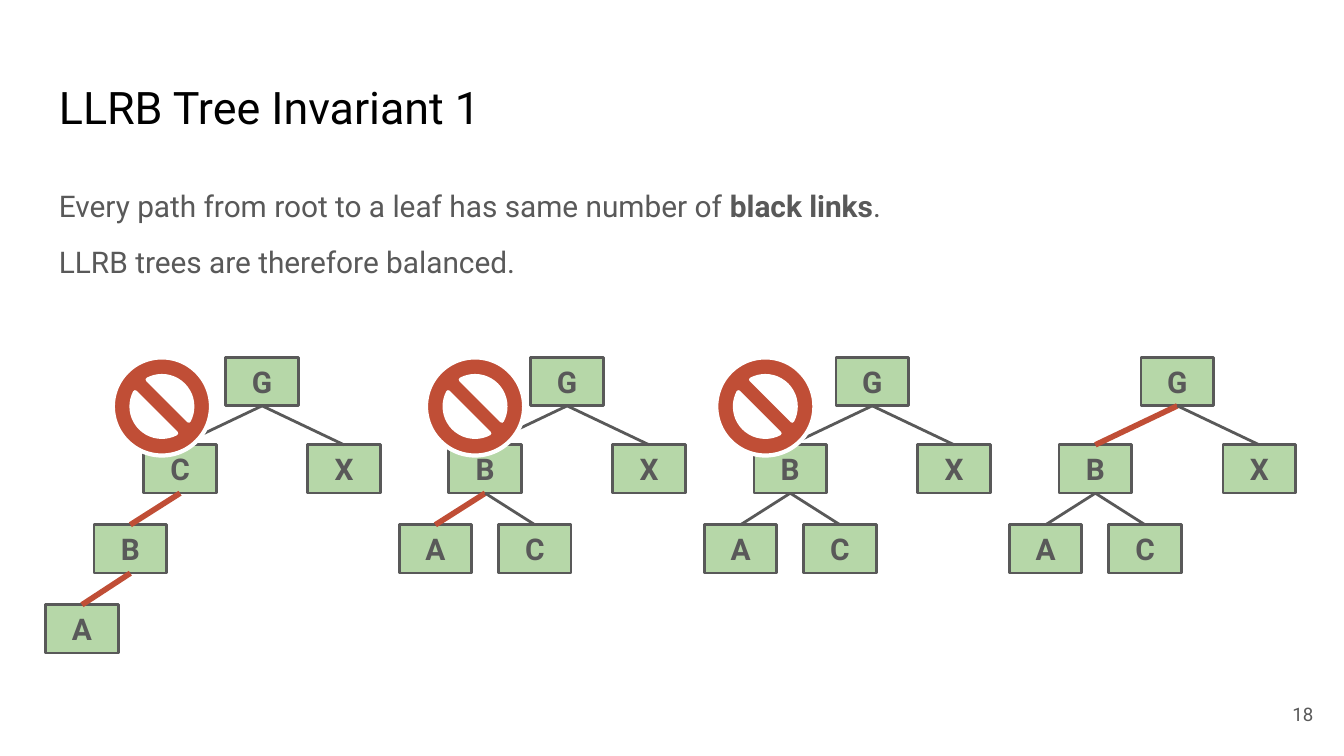
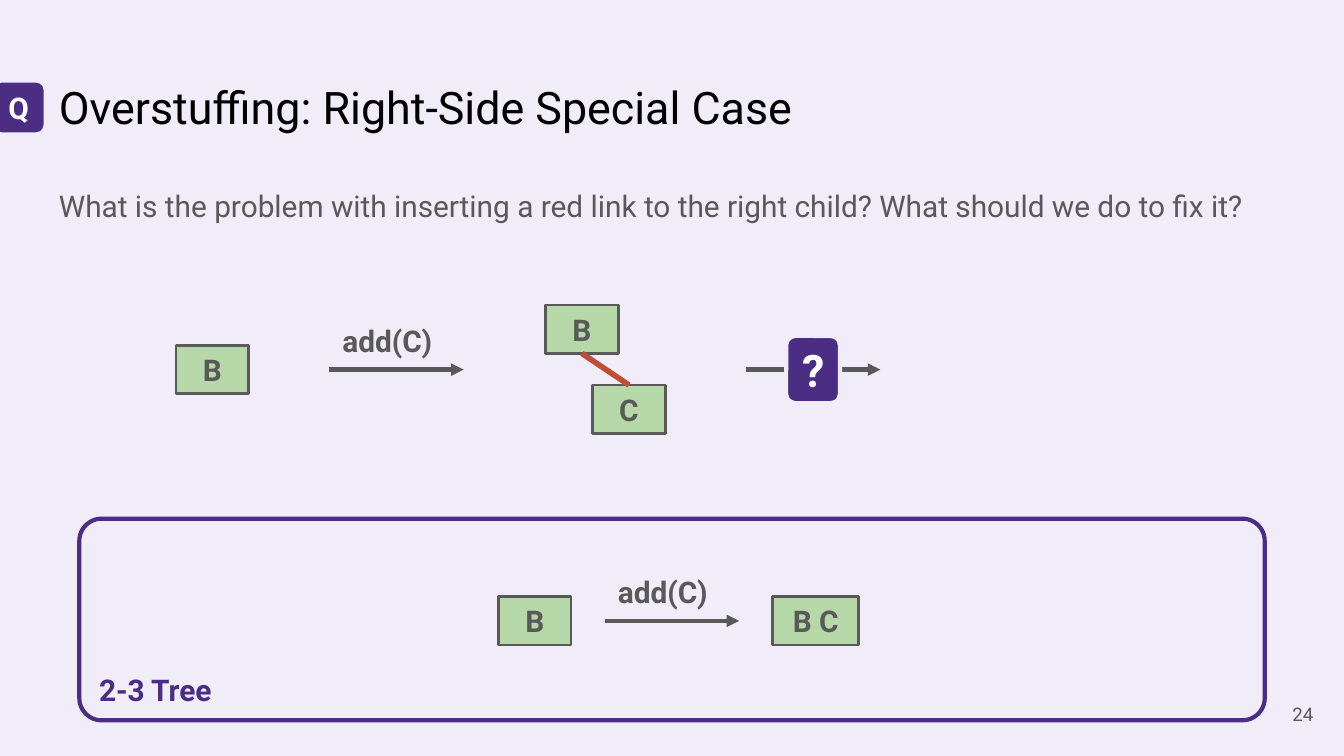
from dataclasses import dataclass

from lxml import etree
from pptx import Presentation
from pptx import util as u
from pptx.dml.color import RGBColor
from pptx.enum import shapes, text
from pptx.oxml.ns import qn

COLUMNS = 100
NODE_WIDTH, NODE_HEIGHT = 5.4, 3.6
LEVEL, LEAF_LEVEL = 6.5, 5.95
BRANCH, TWIG = 6.1, 3.7
BOTTOM, TOP = 2, 0


@dataclass(frozen=True)
class Theme:
    font: str = "Roboto"
    paper: str = "FFFFFF"
    lilac: str = "F0ECF8"
    purple: str = "4B2E83"
    black: str = "000000"
    gray: str = "595959"
    green: str = "B6D7A8"
    red: str = "C04E36"
    title: int = 24
    body: int = 16
    number: int = 10
    thin: float = 1.5
    medium: float = 2.25
    thick: float = 3


def apply(target, values):
    for name, value in values.items():
        setattr(target, name, value)


class Deck:
    def __init__(self, theme):
        self.theme = theme
        self.deck = Presentation()
        width = u.Inches(10)
        apply(self.deck, {"slide_width": width, "slide_height": width * 9 // 16})
        self.cell = width // COLUMNS
        self.page = None

    def grid(self, *lengths):
        return [u.Emu(round(length * self.cell)) for length in lengths]

    def new_page(self, title, number, background):
        self.page = self.deck.slides.add_slide(self.deck.slide_layouts[6])
        fill = self.page.background.fill
        fill.solid()
        fill.fore_color.rgb = RGBColor.from_string(background)
        theme = self.theme
        self.label((3.4, 4.9, 93.2, 6.3), title, size=theme.title, color=theme.black)
        self.label((92.7, 51, 6, 4.3), number, size=theme.number,
                   align=text.PP_ALIGN.RIGHT, anchor=text.MSO_ANCHOR.MIDDLE)

    def add_span(self, para, words, size, color, bold):
        span = para.add_run()
        span.text = words
        apply(span.font, {"name": self.theme.font, "size": u.Pt(size), "bold": bold})
        span.font.color.rgb = RGBColor.from_string(color)

    def frame(self, box, anchor, vertical=1):
        side, edge = self.grid(1, vertical)
        apply(box.text_frame, {
            "word_wrap": True, "vertical_anchor": anchor,
            "margin_left": side, "margin_right": side,
            "margin_top": edge, "margin_bottom": edge,
        })
        return box.text_frame

    def label(self, place, words, size=None, color=None, bold=False,
              align=text.PP_ALIGN.LEFT, anchor=text.MSO_ANCHOR.TOP):
        box = self.page.shapes.add_textbox(*self.grid(*place))
        para = self.frame(box, anchor).paragraphs[0]
        para.alignment = align
        self.add_span(para, words, size or self.theme.body, color or self.theme.gray, bold)

    def body(self, height, *lines):
        box = self.page.shapes.add_textbox(*self.grid(3.4, 12.6, 93.2, height))
        frame = self.frame(box, text.MSO_ANCHOR.TOP)
        for index, spans in enumerate(lines):
            para = frame.add_paragraph() if index else frame.paragraphs[0]
            gap = u.Pt(8 if index else 0)
            apply(para, {"line_spacing": 1.15, "space_before": gap, "space_after": gap})
            for words, bold in spans:
                self.add_span(para, words, self.theme.body, self.theme.gray, bold)

    def shape(self, kind, place, fill, line, weight, corner=None):
        box = self.page.shapes.add_shape(kind, *self.grid(*place))
        box.shadow.inherit = False
        if fill:
            box.fill.solid()
            box.fill.fore_color.rgb = RGBColor.from_string(fill)
        else:
            box.fill.background()
        box.line.color.rgb = RGBColor.from_string(line)
        box.line.width = u.Pt(weight)
        if corner is not None:
            box.adjustments[0] = corner
        return box

    def caption(self, box, words, size, color, align=text.PP_ALIGN.CENTER,
                anchor=text.MSO_ANCHOR.MIDDLE, vertical=1):
        para = self.frame(box, anchor, vertical).paragraphs[0]
        para.alignment = align
        self.add_span(para, words, size, color, True)

    def node(self, words, left, top, width=NODE_WIDTH):
        theme = self.theme
        box = self.shape(shapes.MSO_SHAPE.RECTANGLE, (left, top, width, NODE_HEIGHT),
                         theme.green, theme.gray, theme.thin)
        self.caption(box, words, theme.body, theme.gray)
        return box

    def line(self, start, end, color, weight):
        connector = self.page.shapes.add_connector(
            shapes.MSO_CONNECTOR.STRAIGHT, *self.grid(*start, *end))
        connector.line.color.rgb = RGBColor.from_string(color)
        connector.line.width = u.Pt(weight)
        etree.SubElement(connector.element.spPr, qn("a:effectLst"))
        return connector

    def link(self, parent, child, red=False):
        theme = self.theme
        color, weight = (theme.red, theme.thick) if red else (theme.gray, theme.thin)
        connector = self.line((0, 0), (0, 0), color, weight)
        connector.begin_connect(parent, BOTTOM)
        connector.end_connect(child, TOP)

    def tree(self, left, top, words, *branches, parent=None, red=False):
        box = self.node(words, left, top)
        if parent is not None:
            self.link(parent, box, red)
        for shift, drop, child_red, child in branches:
            self.tree(left + shift, top + drop, *child, parent=box, red=child_red)

    def arrow(self, left, top, words=None):
        theme = self.theme
        connector = self.line((left, top), (left + 10, top), theme.gray, theme.medium)
        outline = connector.element.spPr.find(qn("a:ln"))
        etree.SubElement(outline, qn("a:tailEnd"), type="triangle")
        if words:
            self.label((left, top - 4.5, 10, 4.5), words, bold=True)

    def forbidden(self, left, top):
        theme = self.theme
        self.shape(shapes.MSO_SHAPE.NO_SYMBOL, (left, top, 7.3, 7.3),
                   theme.red, theme.paper, theme.medium, 0.19)

    def badge(self, words, left, top, height, size):
        theme = self.theme
        box = self.shape(shapes.MSO_SHAPE.ROUNDED_RECTANGLE, (left, top, 4, height),
                         theme.purple, theme.lilac, theme.medium, 0.17)
        self.caption(box, words, size, theme.paper)

    def panel(self, place, words):
        theme = self.theme
        box = self.shape(shapes.MSO_SHAPE.ROUNDED_RECTANGLE, place,
                         None, theme.purple, theme.medium, 0.11)
        self.caption(box, words, theme.body, theme.purple, text.PP_ALIGN.LEFT,
                     text.MSO_ANCHOR.BOTTOM, vertical=0.5)

    def save(self):
        self.deck.save("out.pptx")


def pair(red_left=False):
    return ("B", (-TWIG, LEAF_LEVEL, red_left, ("A",)),
            (TWIG, LEAF_LEVEL, False, ("C",)))


def invariant_page(deck):
    deck.new_page("LLRB Tree Invariant 1", "18", deck.theme.paper)
    deck.body(9, [("Every path from root to a leaf has same number of ", False),
                  ("black links", True), (".", False)],
              [("LLRB trees are therefore balanced.", False)])
    chain = ("C", (-TWIG, LEAF_LEVEL, True,
                   ("B", (-TWIG + 0.1, LEAF_LEVEL, True, ("A",)))))
    subtrees = [(chain, False), (pair(red_left=True), False), (pair(), False), (pair(), True)]
    root_left, root_top, pitch = 16.8, 26.6, 22.7
    for index, (subtree, red) in enumerate(subtrees):
        deck.tree(root_left + index * pitch, root_top, "G",
                  (-BRANCH, LEVEL, red, subtree), (BRANCH, LEVEL, False, ("X",)))
    for left in (8.4, 31.7, 53.3):
        deck.forbidden(left, root_top)


def overstuffing_page(deck):
    theme = deck.theme
    deck.new_page("Overstuffing: Right-Side Special Case", "24", theme.lilac)
    deck.body(4.5, [("What is the problem with inserting a red link to the right child? "
                     "What should we do to fix it?", False)])
    deck.badge("Q", -0.6, 6, 4, theme.body)
    deck.panel((5.9, 38.6, 88.2, 15), "2-3 Tree")
    deck.node("B", 37.1, 44.4)
    deck.arrow(45, 46.2, "add(C)")
    deck.node("B C", 57.5, 44.4, 6.4)
    deck.tree(40.6, 22.7, "B", (3.5, LEAF_LEVEL, True, ("C",)))
    deck.node("B", 13.1, 25.7)
    deck.arrow(24.5, 27.5, "add(C)")
    deck.arrow(55.5, 27.5)
    deck.badge("?", 58.5, 25, 5, theme.title)


def main():
    deck = Deck(Theme())
    invariant_page(deck)
    overstuffing_page(deck)
    deck.save()


if __name__ == "__main__":
    main()
